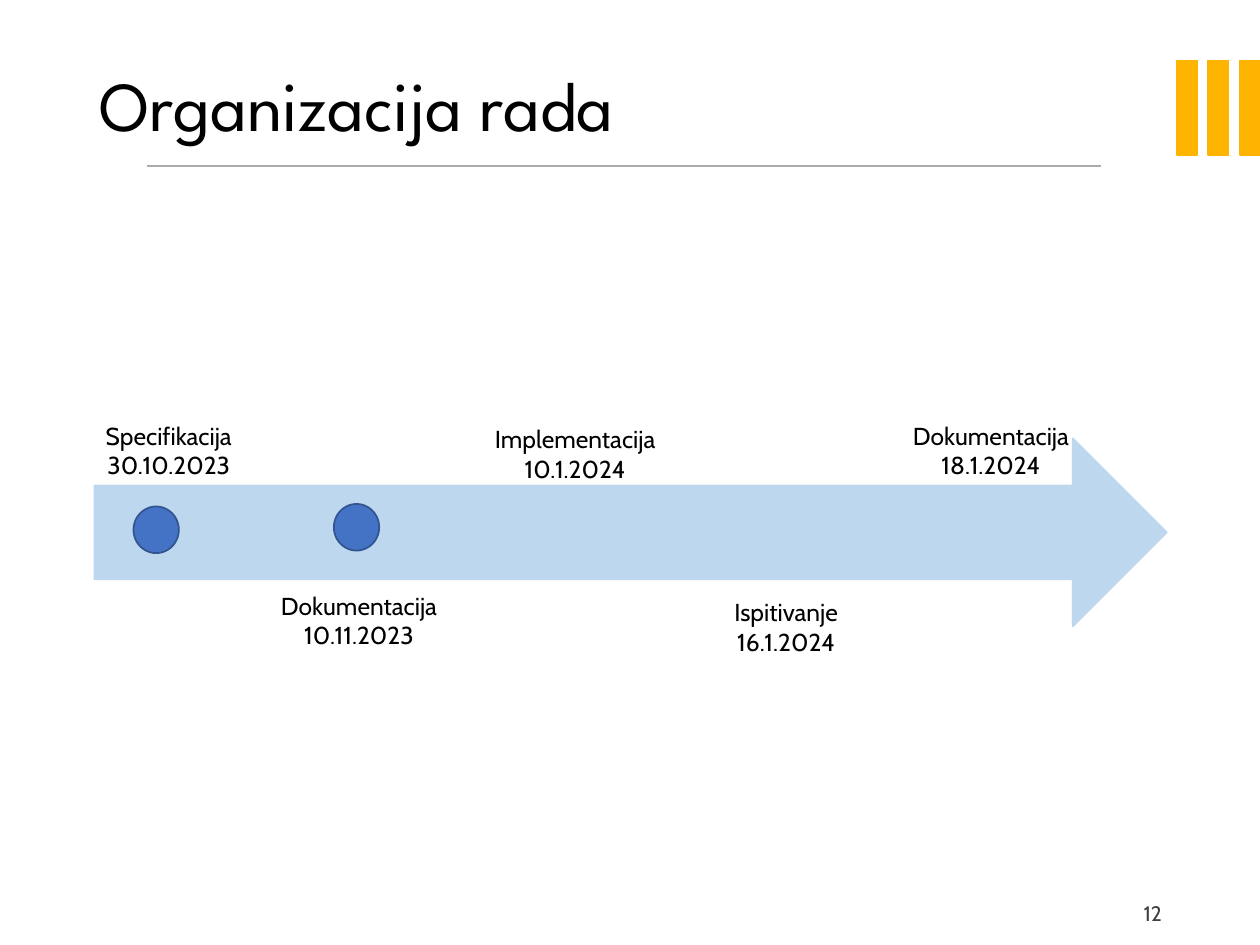
from dataclasses import dataclass

from lxml import etree
from pptx import Presentation
from pptx import util as u
from pptx.dml.color import RGBColor
from pptx.enum import shapes, text
from pptx.oxml.ns import qn

COLUMNS, ROWS = 100, 75
CELL = u.Inches(0.1)


@dataclass(frozen=True)
class Theme:
    heading_font: str = "League Spartan"
    body_font: str = "Cabin"
    title_size: int = 40
    label_size: int = 14
    number_size: int = 12
    ink: str = "000000"
    muted: str = "404040"
    accent: str = "FFB400"
    rule: str = "AFABAB"
    arrow: str = "BDD7EE"
    marker: str = "4472C4"
    marker_edge: str = "325491"


THEME = Theme()


def cells(*counts):
    """Turn counts of grid cells into slide lengths."""
    return [round(count * CELL) for count in counts]


def add_text(slide, box, *paragraphs, size=THEME.label_size, font=THEME.body_font,
             color=THEME.ink, align=text.PP_ALIGN.CENTER,
             anchor=text.MSO_ANCHOR.TOP, spacing=None):
    """Write one paragraph per string; a vertical tab breaks the line inside one."""
    frame = slide.shapes.add_textbox(*cells(*box)).text_frame
    frame.word_wrap = True
    frame.vertical_anchor = anchor
    frame.text = "\n".join(paragraphs)
    for paragraph in frame.paragraphs:
        paragraph.alignment = align
        paragraph.line_spacing = spacing
        for run in paragraph.runs:
            run.font.size = u.Pt(size)
            run.font.name = font
            run.font.color.rgb = RGBColor.from_string(color)


def add_block(slide, preset, box, fill, edge=None):
    block = slide.shapes.add_shape(preset, *cells(*box))
    block.shadow.inherit = False
    block.fill.solid()
    block.fill.fore_color.rgb = RGBColor.from_string(fill)
    block.line.color.rgb = RGBColor.from_string(edge or fill)
    block.line.width = u.Pt(1)


def add_rule(slide, left, right, row):
    rule = slide.shapes.add_connector(
        shapes.MSO_CONNECTOR.STRAIGHT, *cells(left, row, right, row))
    rule.line.color.rgb = RGBColor.from_string(THEME.rule)
    rule.line.width = u.Pt(1)
    etree.SubElement(rule._element.spPr, qn("a:effectLst"))


def add_frame(slide, title, number):
    """Draw the corner bars, the title with its rule and the slide number."""
    for bar in range(3):
        add_block(slide, shapes.MSO_SHAPE.RECTANGLE,
                  (93.4 + 2.5 * bar, 4.8, 1.6, 7.5), THEME.accent)
    add_rule(slide, 11.7, 87.4, 13.2)
    add_text(slide, (6.9, 4, 86.2, 9.2), title, size=THEME.title_size,
             font=THEME.heading_font, align=text.PP_ALIGN.LEFT,
             anchor=text.MSO_ANCHOR.MIDDLE, spacing=0.9)
    add_text(slide, (87.4, 71, 5.8, 4), number, size=THEME.number_size,
             color=THEME.muted, align=text.PP_ALIGN.RIGHT)


def add_timeline(slide, milestones, markers):
    add_block(slide, shapes.MSO_SHAPE.RIGHT_ARROW, (7.5, 34.8, 85.1, 14.9), THEME.arrow)
    for left, top in markers:
        add_block(slide, shapes.MSO_SHAPE.OVAL, (left, top, 3.6, 3.7),
                  THEME.marker, THEME.marker_edge)
    for left, top, width, *lines in milestones:
        add_text(slide, (left, top, width, 5.7), *lines)


def main():
    deck = Presentation()
    deck.slide_width, deck.slide_height = cells(COLUMNS, ROWS)
    slide = deck.slides.add_slide(deck.slide_layouts[6])

    add_frame(slide, "Organizacija rada", "12")
    add_timeline(
        slide,
        milestones=[
            (6.9, 32.9, 13, "Specifikacija", "30.10.2023"),
            (19.2, 46.4, 18.6, "Dokumentacija", "10.11.2023"),
            (37.7, 33.2, 15.9, "Implementacija\v10.1.2024"),
            (56, 46.9, 12.8, "Ispitivanje", "16.1.2024"),
            (70.7, 32.9, 15.9, "Dokumentacija", "18.1.2024"),
        ],
        markers=[(10.6, 40.2), (26.5, 40)],
    )
    deck.save("out.pptx")


if __name__ == "__main__":
    main()
